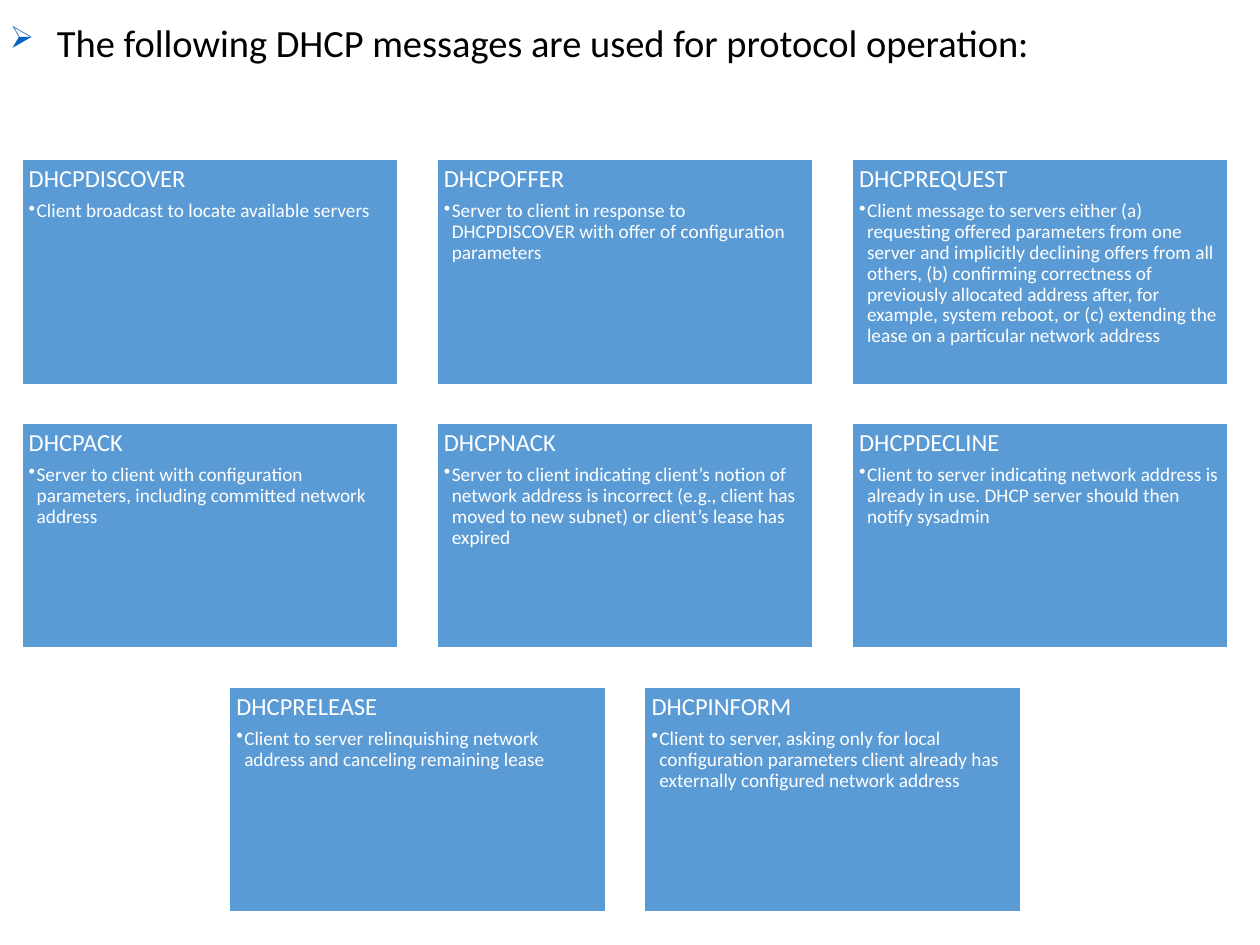
from lxml import etree
from pptx import Presentation
from pptx import util as u
from pptx.dml.color import RGBColor
from pptx.enum import shapes, text
from pptx.oxml import ns

HEADING = "The following DHCP messages are used for protocol operation:"
MESSAGES = [
    ("DHCPDISCOVER", "Client broadcast to locate available servers"),
    ("DHCPOFFER", "Server to client in response to DHCPDISCOVER with offer of "
     "configuration parameters"),
    ("DHCPREQUEST", "Client message to servers either (a) requesting offered "
     "parameters from one server and implicitly declining offers from all others, "
     "(b) confirming correctness of previously allocated address after, for example, "
     "system reboot, or (c) extending the lease on a particular network address"),
    ("DHCPACK", "Server to client with configuration parameters, including committed "
     "network address"),
    ("DHCPNACK", "Server to client indicating client’s notion of network address is "
     "incorrect (e.g., client has moved to new subnet) or client’s lease has expired"),
    ("DHCPDECLINE", "Client to server indicating network address is already in use. "
     "DHCP server should then notify sysadmin"),
    ("DHCPRELEASE", "Client to server relinquishing network address and canceling "
     "remaining lease"),
    ("DHCPINFORM", "Client to server, asking only for local configuration parameters "
     "client already has externally configured network address"),
]

THEME = {
    "font": "Calibri",
    "heading": {"size": 22, "color": "000000"},
    "name": {"size": 14, "color": "FFFFFF"},
    "detail": {"size": 11, "color": "FFFFFF"},
    "card": "5B9BD5",
    "edge": "FFFFFF",
    "arrow": "0563C1",
}
COLUMNS = 3
CARD_WIDTH, CARD_HEIGHT = 7.6, 4.56
PITCH_X, PITCH_Y = 8.37, 5.32
GRID_CENTER, GRID_TOP = 12.6, 3.2


def apply(target, values):
    for name, value in values.items():
        setattr(target, name, value)


def add_bullet(para, mark, indent, color=None, percent=None):
    properties = para._p.get_or_add_pPr()
    properties.set("marL", str(u.Cm(indent)))
    properties.set("indent", str(-u.Cm(indent)))
    if color:
        holder = etree.SubElement(properties, ns.qn("a:buClr"))
        etree.SubElement(holder, ns.qn("a:srgbClr"), val=color)
    if percent:
        etree.SubElement(properties, ns.qn("a:buSzPct"), val=str(percent * 1000))
    etree.SubElement(properties, ns.qn("a:buChar"), char=mark)


def write(para, words, style, **layout):
    apply(para, {"alignment": text.PP_ALIGN.LEFT, **layout})
    span = para.add_run()
    span.text = words
    apply(span.font, {"name": THEME["font"], "size": u.Pt(style["size"])})
    span.font.color.rgb = RGBColor.from_string(style["color"])


def add_heading(page):
    box = page.shapes.add_textbox(u.Cm(-0.05), u.Cm(0.43), u.Cm(24.97), u.Cm(1.04))
    apply(box.text_frame, {"word_wrap": True,
                           "auto_size": text.MSO_AUTO_SIZE.SHAPE_TO_FIT_TEXT})
    para = box.text_frame.paragraphs[0]
    add_bullet(para, "➢", 0.95, THEME["arrow"], 80)
    write(para, HEADING, THEME["heading"], line_spacing=0.8)


def add_card(page, left, top, name, detail):
    card = page.shapes.add_shape(
        shapes.MSO_SHAPE.RECTANGLE,
        u.Cm(left), u.Cm(top), u.Cm(CARD_WIDTH), u.Cm(CARD_HEIGHT))
    card.shadow.inherit = False
    card.fill.solid()
    card.fill.fore_color.rgb = RGBColor.from_string(THEME["card"])
    card.line.color.rgb = RGBColor.from_string(THEME["edge"])
    card.line.width = u.Pt(1.5)
    frame = card.text_frame
    apply(frame, {"word_wrap": True, "vertical_anchor": text.MSO_ANCHOR.TOP})
    apply(frame, {f"margin_{side}": u.Cm(0.15)
                  for side in ("left", "top", "right", "bottom")})
    write(frame.paragraphs[0], name, THEME["name"],
          line_spacing=0.9, space_after=u.Pt(4.9))
    para = frame.add_paragraph()
    add_bullet(para, "•", 0.16)
    write(para, detail, THEME["detail"],
          level=1, line_spacing=0.9, space_after=u.Pt(1.65))


def main():
    deck = Presentation()
    apply(deck, {"slide_width": u.Cm(25.4), "slide_height": u.Cm(19.05)})
    page = deck.slides.add_slide(deck.slide_layouts[6])
    add_heading(page)
    for start in range(0, len(MESSAGES), COLUMNS):
        messages = MESSAGES[start:start + COLUMNS]
        top = GRID_TOP + start // COLUMNS * PITCH_Y
        row_width = (len(messages) - 1) * PITCH_X + CARD_WIDTH
        for column, message in enumerate(messages):
            left = GRID_CENTER - row_width / 2 + column * PITCH_X
            add_card(page, left, top, *message)
    deck.save("out.pptx")


if __name__ == "__main__":
    main()
